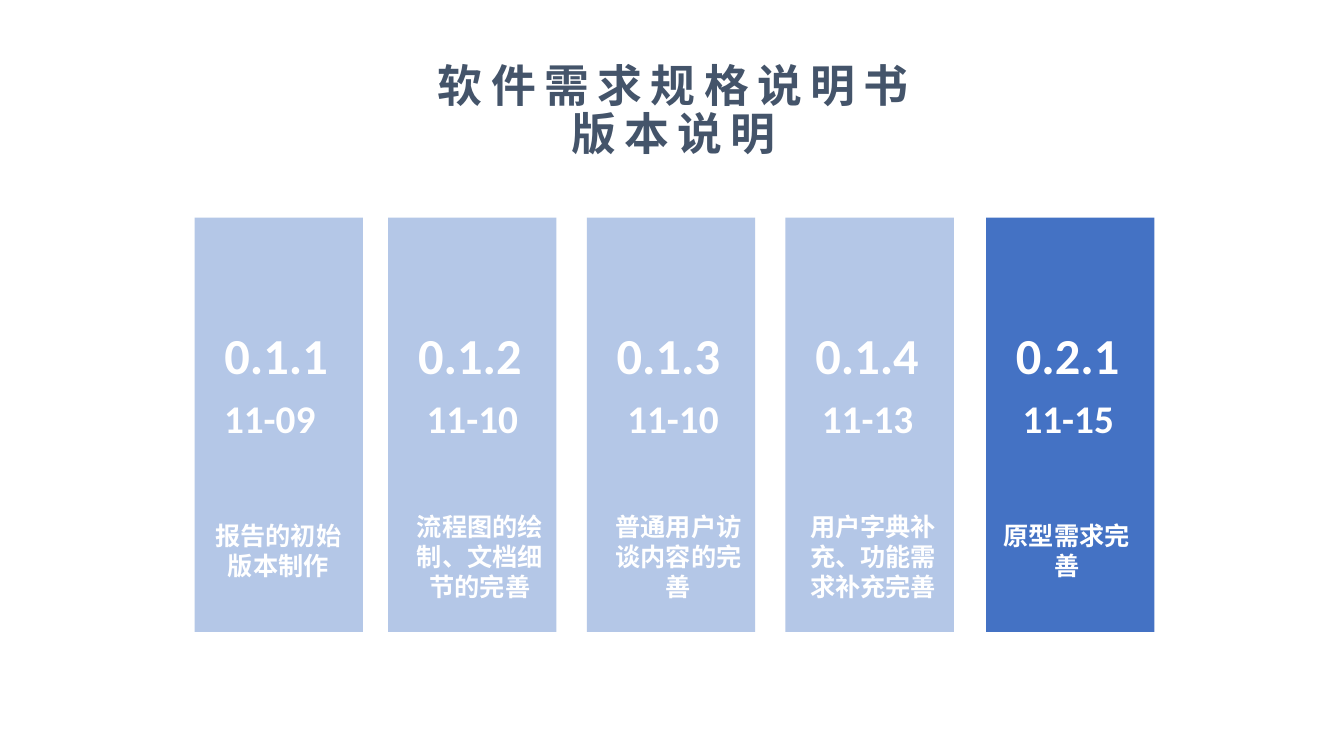
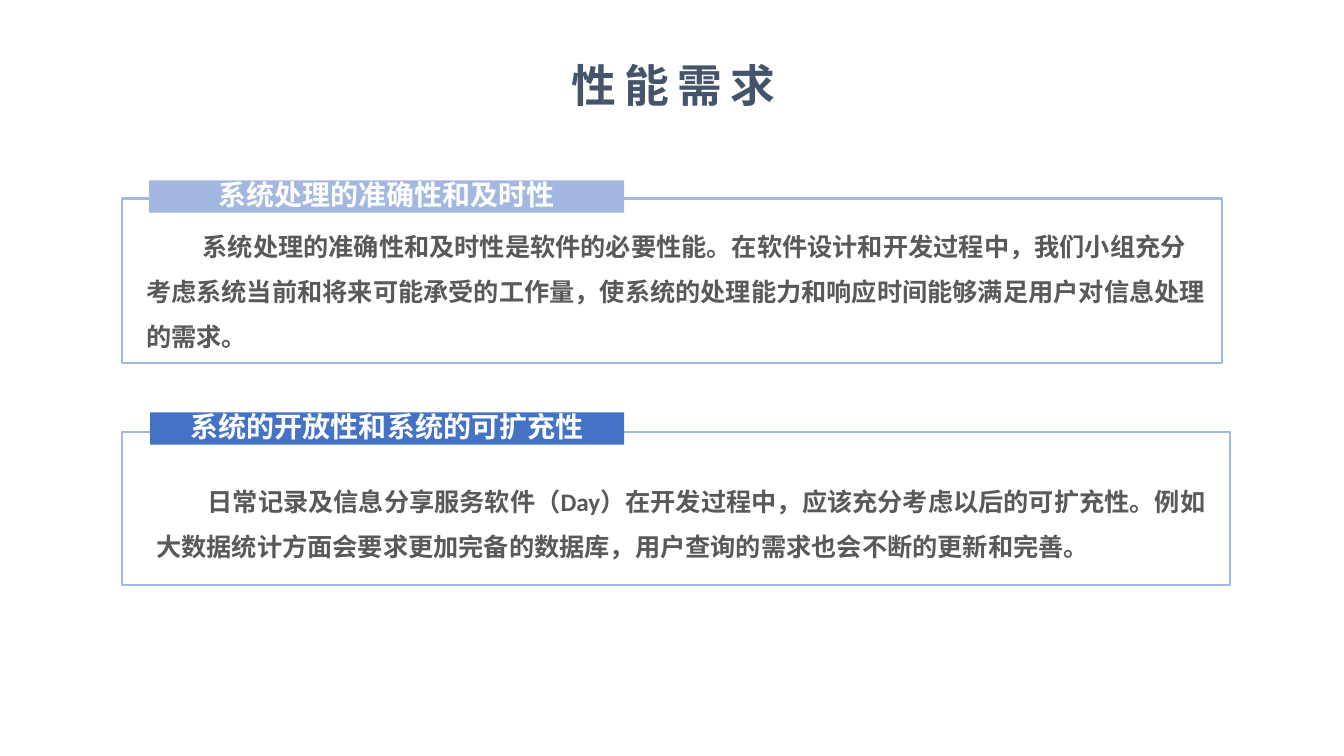
import pptx
import pptx.dml.color
import pptx.enum.shapes
import pptx.enum.text
import pptx.oxml.ns
import pptx.util
from dataclasses import dataclass
from lxml import etree

Inches = pptx.util.Inches
ALIGN = pptx.enum.text.PP_ALIGN
ANCHOR = pptx.enum.text.MSO_ANCHOR


@dataclass(frozen=True)
class Theme:
    # Colours
    white: str = "FFFFFF"
    navy: str = "44546A"
    gray: str = "595959"
    blue: str = "4472C4"
    pale: str = "B4C7E7"
    edge: str = "A2B8E1"
    # Fonts
    latin: str = "Calibri"
    asian: str = "Noto Sans CJK SC"
    # Type sizes
    title: int = 32
    number: int = 36
    date: int = 28
    head: int = 20
    body: int = 18


T = Theme()
THIN = (0.07, 0.03, 0.07, 0.03)


def color(code):
    return pptx.dml.color.RGBColor.from_string(code)


def style(para, size, tint, align=ALIGN.CENTER, face=T.latin,
          lead=None, indent=0, track=0):
    """Format one paragraph."""
    para.alignment = align
    if lead:
        para.line_spacing = lead
    if indent:
        props = para._p.get_or_add_pPr()
        props.set("marL", "0")
        props.set("indent", str(Inches(indent)))
    font = para.font
    font.size = pptx.util.Pt(size)
    font.bold = True
    font.color.rgb = color(tint)
    font.name = face
    marks = font._element
    etree.SubElement(marks, pptx.oxml.ns.qn("a:ea"), typeface=T.asian)
    if track:
        marks.set("spc", str(track * 100))


def inset(frame, sides):
    left, top, right, base = map(Inches, sides)
    frame.margin_left, frame.margin_top = left, top
    frame.margin_right, frame.margin_bottom = right, base


def label(slide, box, text, size, tint, sides=None, **look):
    """Add a wrapped text box."""
    frame = slide.shapes.add_textbox(*map(Inches, box)).text_frame
    frame.word_wrap = True
    if sides:
        inset(frame, sides)
    frame.text = text
    style(frame.paragraphs[0], size, tint, **look)


def block(slide, box, fill, line=None):
    """Add a flat rectangle."""
    kind = pptx.enum.shapes.MSO_SHAPE.RECTANGLE
    shape = slide.shapes.add_shape(kind, *map(Inches, box))
    shape.shadow.inherit = False
    shape.fill.solid()
    shape.fill.fore_color.rgb = color(fill)
    if line:
        shape.line.color.rgb = color(line)
        shape.line.width = pptx.util.Pt(1.5)
    else:
        shape.line.fill.background()
    return shape


def start(deck, *lines):
    """Add a slide with the shared title style."""
    slide = deck.slides.add_slide(deck.slide_layouts[5])
    title = slide.shapes.title
    title.left, title.top = Inches(4.08), Inches(0.63)
    title.width, title.height = Inches(5.2), Inches(0.53 * len(lines))
    frame = title.text_frame
    frame.word_wrap = True
    frame.auto_size = pptx.enum.text.MSO_AUTO_SIZE.NONE
    frame.vertical_anchor = ANCHOR.TOP
    frame.text = "\n".join(lines)
    for rank, para in enumerate(frame.paragraphs):
        para.space_before = pptx.util.Pt(3 if rank else 0)
        style(para, T.title, T.navy, lead=0.8, track=6)
    return slide


def card(slide, box, fill, number, date, note, shift, drop):
    """Version card; shift moves date and note, drop places the note."""
    left, top, _, _ = box
    block(slide, box, fill)
    label(slide, (left - 0.11, top + 0.89, 1.71, 0.81), number, T.number,
          T.white, sides=(0, 0.03, 0.07, 0.03), lead=pptx.util.Pt(53),
          indent=0.2)
    label(slide, (left + shift[0], top + 1.7, 1.71, 0.57), date, T.date,
          T.white)
    label(slide, (left + shift[1], top + drop, 1.6, 1.01), note, T.body,
          T.white, face=T.asian)


def panel(slide, box, tab, fill, head, text, body, indent):
    """Framed text with a heading tab; tab and body are offsets and sizes."""
    left, top, _, _ = box
    block(slide, box, T.white, T.edge)
    bar = block(slide, (left + tab[0], top + tab[1], *tab[2:]), fill)
    frame = bar.text_frame
    inset(frame, (0, 0, 0, 0))
    frame.vertical_anchor = ANCHOR.MIDDLE
    frame.text = head
    style(frame.paragraphs[0], T.head, T.white, lead=0.9)
    label(slide, (left + body[0], top + body[1], *body[2:]), text, T.body,
          T.gray, sides=THIN, align=ALIGN.LEFT, lead=1.5, indent=indent)


def versions(deck):
    slide = start(deck, "软件需求规格说明书", "版本说明")
    cards = [
        (1.93, T.pale, "0.1.1", "11-09", "报告的初始版本制作", (-0.11, 0.03), 2.95),
        (3.85, T.pale, "0.1.2", "11-10", "流程图的绘制、文档细节的完善",
         (-0.02, 0.11), 2.86),
        (5.82, T.pale, "0.1.3", "11-10", "普通用户访谈内容的完善", (0, 0.11), 2.86),
        (7.79, T.pale, "0.1.4", "11-13", "用户字典补充、功能需求补充完善",
         (-0.04, 0.07), 2.86),
        (9.78, T.blue, "0.2.1", "11-15", "原型需求完善", (-0.04, 0), 2.95),
    ]
    for left, *parts in cards:
        card(slide, (left, 2.16, 1.67, 4.11), *parts)


def needs(deck):
    slide = start(deck, "性能需求")
    panel(slide, (1.21, 1.97, 10.91, 1.63), (0.27, -0.18, 4.71, 0.32), T.edge,
          "系统处理的准确性和及时性",
          "系统处理的准确性和及时性是软件的必要性能。在软件设计和开发过程中，"
          "我们小组充分考虑系统当前和将来可能承受的工作量，"
          "使系统的处理能力和响应时间能够满足用户对信息处理的需求。",
          (0.17, 0.14, 10.66, 1.38), 0.56)
    panel(slide, (1.21, 4.29, 10.99, 1.51), (0.28, -0.2, 4.7, 0.32), T.blue,
          "系统的开放性和系统的可扩充性",
          "日常记录及信息分享服务软件（Day）在开发过程中，"
          "应该充分考虑以后的可扩充性。例如大数据统计方面会要求更加完备的数据库，"
          "用户查询的需求也会不断的更新和完善。",
          (0.27, 0.35, 10.56, 0.93), 0.51)


def main():
    deck = pptx.Presentation()
    deck.slide_width, deck.slide_height = Inches(13.33), Inches(7.5)
    versions(deck)
    needs(deck)
    deck.save("out.pptx")


if __name__ == "__main__":
    main()
